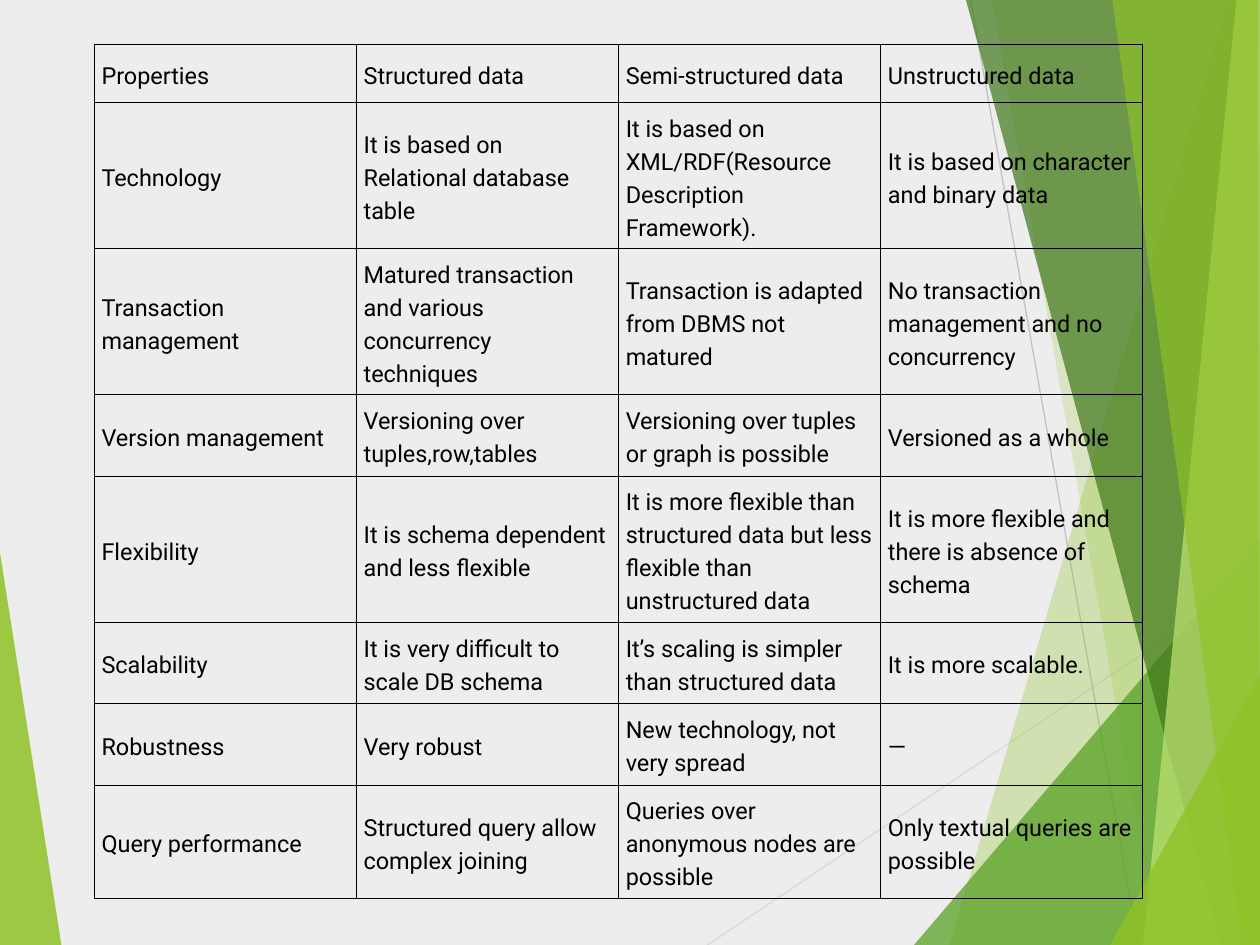
from lxml import etree
from pptx import Presentation
from pptx.dml.color import RGBColor
from pptx.enum.shapes import MSO_CONNECTOR
from pptx.enum.text import MSO_ANCHOR
from pptx.oxml.ns import qn
from pptx.util import Inches, Pt

LINE, MIDDLE = MSO_CONNECTOR.STRAIGHT, MSO_ANCHOR.MIDDLE
COLS, ROWS = 10.67, 8  # slide grid, one inch a step

# Fill, opacity in percent, corners in grid steps
SHARD = ("90C226", 85, [(0, 4.68), (0.52, 8), (0, 8)])
FACETS = [
    ("90C226", 30, [(10.4, 0), (8.04, 8), (COLS, 8), (COLS, 0)]),
    ("90C226", 20, [(8.4, 0), (9.81, 8), (COLS, 8), (COLS, 0)]),
    ("54A021", 72, [(7.74, 8), (COLS, 4.57), (COLS, 8)]),
    ("3F7819", 70, [(8.18, 0), (10.34, 8), (COLS, 8), (COLS, 0)]),
    ("C0E474", 70, [(10.47, 0), (9.68, 8), (COLS, 8), (COLS, 0)]),
    ("90C226", 65, [(9.42, 0), (10.52, 8), (COLS, 8), (10.65, 0)]),
    ("90C226", 80, [(9.4, 8), (COLS, 5.71), (COLS, 8)]),
]
RAYS = [("D9D9D9", (5.99, 8), (COLS, 4.87)), ("BFBFBF", (8.22, 0), (9.64, 8))]

HEIGHTS = [0.49, 1.23, 1.23, 0.69, 1.23, 0.69, 0.69, 0.96]
DATA = [
    ["Properties", "Structured data", "Semi-structured data", "Unstructured data"],
    ["Technology", "It is based on Relational database table",
     "It is based on XML/RDF(Resource Description Framework).",
     "It is based on character and binary data"],
    ["Transaction management",
     "Matured transaction and various concurrency techniques",
     "Transaction is adapted from DBMS not matured",
     "No transaction management and no concurrency"],
    ["Version management", "Versioning over tuples,row,tables",
     "Versioning over tuples or graph is possible", "Versioned as a whole"],
    ["Flexibility", "It is schema dependent and less flexible",
     "It is more flexible than structured data but less flexible than "
     "unstructured data",
     "It is more flexible and there is absence of schema"],
    ["Scalability", "It is very difficult to scale DB schema",
     "It’s scaling is simpler than structured data", "It is more scalable."],
    ["Robustness", "Very robust", "New technology, not very spread", "—"],
    ["Query performance", "Structured query allow complex joining",
     "Queries over anonymous nodes are possible",
     "Only textual queries are possible"],
]


def paint(code):
    return RGBColor.from_string(code)


def write(frame, text, font="Roboto", size=14.3, color="000000", lead=20.1):
    para = frame.paragraphs[0]
    para.line_spacing = Pt(lead)
    run = para.add_run()
    run.text = text
    run.font.name, run.font.size = font, Pt(size)
    run.font.color.rgb = paint(color)


def place(box, point):
    """Turn a grid point into a position inside the box."""
    left, top, width, height = box
    return (round(left + width * point[0] / COLS),
            round(top + height * point[1] / ROWS))


def facet(slide, box, color, alpha, points):
    start, *rest = [place(box, point) for point in points]
    pen = slide.shapes.build_freeform(*start, scale=1.0)
    pen.add_line_segments(rest, close=True)
    shape = pen.convert_to_shape()
    shape.shadow.inherit = False
    shape.line.fill.background()
    shape.fill.solid()
    shape.fill.fore_color.rgb = paint(color)
    tone = shape.fill._xPr.find(".//" + qn("a:srgbClr"))
    etree.SubElement(tone, qn("a:alpha"), val=str(alpha * 1000))


def ray(slide, box, color, start, end):
    line = slide.shapes.add_connector(LINE, *place(box, start), *place(box, end))
    line.line.color.rgb = paint(color)
    line.line.width = Pt(0.75)
    etree.SubElement(line._element.spPr, qn("a:effectLst"))


def backdrop(slide, box):
    slide.background.fill.solid()
    slide.background.fill.fore_color.rgb = paint("EDEDED")
    facet(slide, box, *SHARD)
    for item in RAYS:
        ray(slide, box, *item)
    for item in FACETS:
        facet(slide, box, *item)


def border(cell, color="000000", width=0.75):
    props = cell._tc.get_or_add_tcPr()
    for side in ("lnL", "lnR", "lnT", "lnB"):
        edge = etree.SubElement(props, qn("a:" + side), w=str(Pt(width)))
        fill = etree.SubElement(edge, qn("a:solidFill"))
        etree.SubElement(fill, qn("a:srgbClr"), val=color)


def matrix(slide, box):
    width = box[2]
    table = slide.shapes.add_table(len(DATA), len(DATA[0]), *box).table
    table.first_row = table.horz_banding = False
    for col in table.columns:
        col.width = round(width / len(DATA[0]))
    for row, height, texts in zip(table.rows, HEIGHTS, DATA):
        row.height = Inches(height)
        for cell, text in zip(row.cells, texts):
            border(cell)
            cell.fill.background()
            cell.vertical_anchor = MIDDLE
            cell.margin_left = cell.margin_right = Inches(0.06)
            cell.margin_top = cell.margin_bottom = Inches(0.06)
            write(cell.text_frame, text)


def main():
    deck = Presentation()
    deck.slide_width, deck.slide_height = Inches(COLS), Inches(ROWS)
    slide = deck.slides.add_slide(deck.slide_layouts[6])
    page = (0, 0, deck.slide_width, deck.slide_height)
    backdrop(slide, page)
    left, top = place(page, (0.8, 0.38))
    width, height = place(page, (8.88, sum(HEIGHTS)))
    matrix(slide, (left, top, width, height))
    deck.save("out.pptx")


if __name__ == "__main__":
    main()
